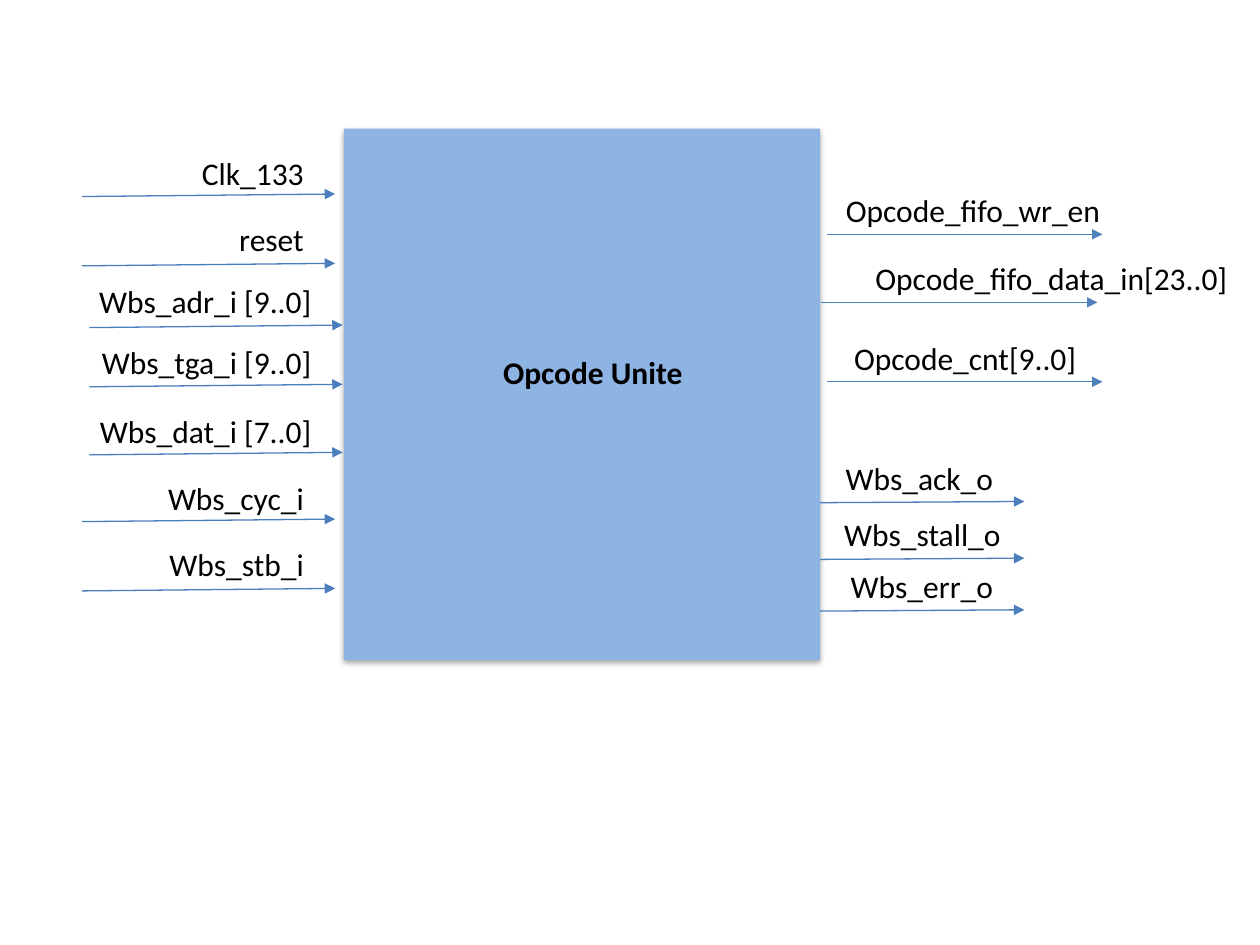
"""Block diagram of the Opcode Unite with its input and output signals."""
import pptx
import pptx.util
import pptx.dml.color
import pptx.enum.shapes
import pptx.enum.text
import pptx.oxml
import pptx.oxml.ns

W, H = 10, 7.5
NS = pptx.oxml.ns.nsdecls("a")
ALIGN = pptx.enum.text.PP_ALIGN
inch = pptx.util.Inches

prs = pptx.Presentation()
prs.slide_width, prs.slide_height = inch(W), inch(H)
s = prs.slides.add_slide(prs.slide_layouts[6])


def label(text, x, y, w, align, bold=False):
    tf = s.shapes.add_textbox(inch(x), inch(y), inch(w), inch(0.41)).text_frame
    tf.word_wrap = True
    p = tf.paragraphs[0]
    p.text, p.alignment = text, align
    p.font.name, p.font.size, p.font.bold = "Calibri", pptx.util.Pt(18), bold
    p.font.color.rgb = pptx.dml.color.RGBColor.from_string("000000")


def arrow(x, y, length, rise, color):
    c = s.shapes.add_connector(pptx.enum.shapes.MSO_CONNECTOR.STRAIGHT,
                               inch(x), inch(y), inch(x + length), inch(y - rise))
    c.line.width = pptx.util.Pt(0.75)
    c.line.color.rgb = pptx.dml.color.RGBColor.from_string(color)
    c.line._get_or_add_ln().append(pptx.oxml.parse_xml(f'<a:tailEnd {NS} type="triangle"/>'))
    c._element.spPr.append(pptx.oxml.parse_xml(f"<a:effectLst {NS}/>"))


block = s.shapes.add_shape(pptx.enum.shapes.MSO_SHAPE.RECTANGLE,
                           inch(2.73), inch(1.02), inch(3.78), inch(4.22))
block.fill.solid()
block.fill.fore_color.rgb = pptx.dml.color.RGBColor.from_string("8EB4E3")
block.line.fill.background()
block._element.spPr.append(pptx.oxml.parse_xml(
    f'<a:effectLst {NS}><a:outerShdw blurRad="{pptx.util.Pt(3.1)}" dist="{pptx.util.Pt(1.8)}" '
    'dir="5400000" rotWithShape="0"><a:srgbClr val="000000"><a:alpha val="35000"/>'
    '</a:srgbClr></a:outerShdw></a:effectLst>'))
label("Opcode Unite", 3.37, 2.75, 2.67, ALIGN.CENTER, bold=True)

inputs = [
    ("Clk_133", 0.31, 1.17, 1.56),
    ("reset", 0.31, 1.7, 2.11),
    ("Wbs_adr_i [9..0]", 0.37, 2.19, 2.6),
    ("Wbs_tga_i [9..0]", 0.37, 2.67, 3.07),
    ("Wbs_dat_i [7..0]", 0.37, 3.22, 3.61),
    ("Wbs_cyc_i", 0.31, 3.75, 4.14),
    ("Wbs_stb_i", 0.31, 4.28, 4.69),
]
for text, x, y, line_y in inputs:
    label(text, x, y, 2.2, ALIGN.RIGHT)
    arrow(x + 0.34, line_y, 2.01, 0.02, "4B7EBC")

fifo_outputs = [
    ("Opcode_fifo_wr_en", 6.23, 1.47, 2.6, ALIGN.RIGHT, 6.56, 1.86),
    ("Opcode_fifo_data_in[23..0]", 6.64, 2.01, 3.2, ALIGN.RIGHT, 6.52, 2.4),
    ("Opcode_cnt[9..0]", 6.68, 2.64, 3.2, ALIGN.LEFT, 6.56, 3.03),
]
for text, x, y, w, align, line_x, line_y in fifo_outputs:
    label(text, x, y, w, align)
    arrow(line_x, line_y, 2.19, 0, "4F81BD")

bus_outputs = [
    ("Wbs_ack_o", 6.56, 3.59, 1.42, 3.99),
    ("Wbs_stall_o", 6.48, 4.04, 1.56, 4.44),
    ("Wbs_err_o", 6.56, 4.45, 1.42, 4.85),
]
for text, x, y, w, line_y in bus_outputs:
    label(text, x, y, w, ALIGN.RIGHT)
    arrow(6.51, line_y, 1.62, 0.01, "4B7EBC")

prs.save("out.pptx")
